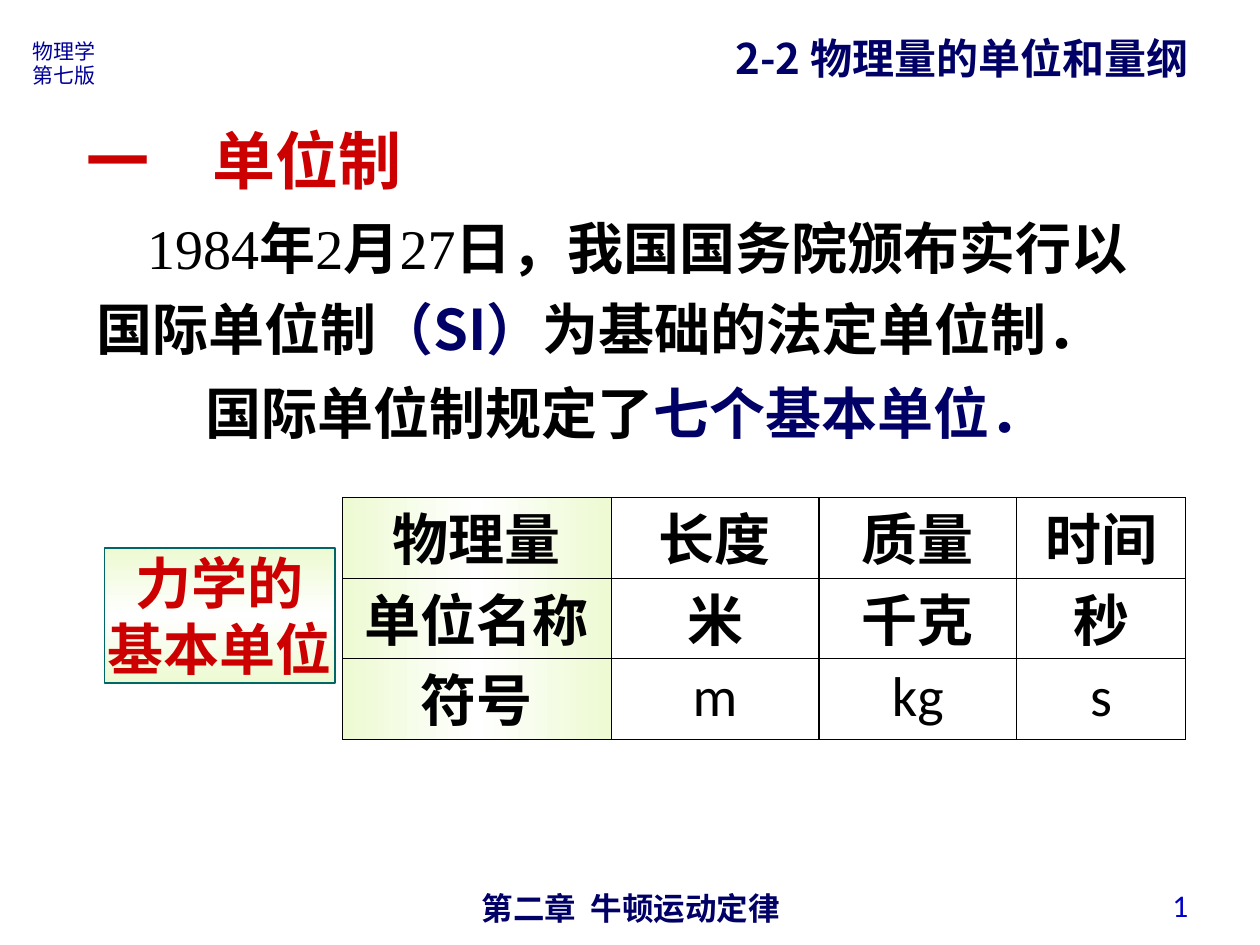
from lxml import etree
from pptx import Presentation
from pptx.dml.color import RGBColor
from pptx.enum import shapes, text
from pptx.oxml import ns
from pptx.util import Inches, Pt

COLORS = {"navy": "000066", "blue": "000099", "number": "0000CC", "red": "CC0000",
          "black": "000000", "teal": "006666", "lime": "EDFAD2", "white": "FFFFFF"}
CJK = "Noto Sans CJK SC"
ALIGN = text.PP_ALIGN


def write(tf, lines, size, color, name=CJK, bold=True, align=ALIGN.LEFT, spacing=1.2):
    """Fill a frame; each line is a list of (text, overriding format) runs."""
    for i, line in enumerate(lines):
        p = tf.paragraphs[0] if i == 0 else tf.add_paragraph()
        p.alignment, p.line_spacing = align, Pt(round(size * spacing))
        p.space_before = Pt(0)
        for words, changes in line:
            r = p.add_run()
            r.text = words
            fmt = {"size": Pt(size), "name": name, "bold": bold, "color": color, **changes}
            r.font.color.rgb = RGBColor.from_string(COLORS[fmt.pop("color")])
            for key, value in fmt.items():
                setattr(r.font, key, value)
            ea = etree.SubElement(r.font._element, ns.qn("a:ea"))
            ea.set("typeface", CJK)


def shade(fill, angle):
    """Lime to white to lime gradient."""
    fill.gradient()
    fill.gradient_angle = angle
    stops = fill._fill._gradFill.find(ns.qn("a:gsLst"))
    stops.clear()
    for pos, color in ((0, "lime"), (50, "white"), (100, "lime")):
        stop = etree.SubElement(stops, ns.qn("a:gs"), pos=str(pos * 1000))
        etree.SubElement(stop, ns.qn("a:srgbClr"), val=COLORS[color])


prs = Presentation()
prs.slide_width, prs.slide_height = Inches(10), Inches(7.5)
s = prs.slides.add_slide(prs.slide_layouts[5])

# Section title
title = s.shapes.title
title.left, title.top, title.width, title.height = map(Inches, (0.59, 0.92, 3.39, 0.7))
title.text_frame.vertical_anchor = text.MSO_ANCHOR.TOP
write(title.text_frame, [[("一　单位制", {})]], 36, "red")

# Header, footer and running text
digits = {"name": "Times New Roman", "bold": False}
intro = [("1984", digits), ("年", {}), ("2", digits), ("月", {}), ("27", digits),
         ("日，我国国务院颁布实行以国际单位制", {}), ("（SI）", {"color": "navy"}),
         ("为基础的法定单位制．", {})]
rule = [("国际单位制规定了", {}), ("七个基本单位．", {"color": "navy"})]
boxes = [
    ((3.42, 7, 3.17, 0.29), [[("第二章  牛顿运动定律", {})]],
     {"size": 18, "color": "navy", "name": "Arial", "align": ALIGN.CENTER}),
    ((5.74, 0.21, 4.08, 0.5), [[("2-2 物理量的单位和量纲", {})]],
     {"size": 24, "color": "navy"}),
    ((0.16, 0.26, 0.72, 0.5), [[("物理学", {})], [("第七版", {})]],
     {"size": 12, "color": "blue", "bold": False}),
    ((7.2, 6.98, 2.33, 0.4), [[("1", {})]],
     {"size": 18, "color": "number", "name": "Calibri", "bold": False, "align": ALIGN.RIGHT}),
    ((0.67, 1.54, 8.75, 1.38), [intro], {"size": 32, "color": "black", "spacing": 1.45}),
    ((1.53, 2.96, 7.09, 0.64), [rule], {"size": 32, "color": "black", "name": "Arial"}),
]
for place, lines, fmt in boxes:
    tf = s.shapes.add_textbox(*map(Inches, place)).text_frame
    tf.word_wrap = True
    write(tf, lines, **fmt)
    if lines[0] is intro:
        tf.paragraphs[0]._p.get_or_add_pPr().set("indent", str(Inches(0.4)))

# Label beside the table
label = s.shapes.add_shape(shapes.MSO_SHAPE.RECTANGLE, *map(Inches, (0.83, 4.35, 1.83, 1.07)))
label.shadow.inherit = False
shade(label.fill, 90)
label.line.color.rgb = RGBColor.from_string(COLORS["teal"])
label.line.width = Pt(1)
tf = label.text_frame
tf.word_wrap = False
for side in ("left", "right", "top", "bottom"):
    setattr(tf, "margin_" + side, 0)
write(tf, [[("力学的", {})], [("基本单位", {})]], 32, "red", align=ALIGN.CENTER)

# Table of base units
rows = [("物理量", "长度", "质量", "时间"),
        ("单位名称", "米", "千克", "秒"),
        ("符号", "m", "kg", "s")]
widths = (2.13, 1.65, 1.57, 1.34)
table = s.shapes.add_table(len(rows), len(widths), *map(Inches, (2.72, 3.95, 6.69, 1.92))).table
table.first_row = table.horz_banding = False
for column, width in zip(table.columns, widths):
    column.width = Inches(width)
for i, row in enumerate(rows):
    table.rows[i].height = Inches(0.64)
    for j, words in enumerate(row):
        cell = table.cell(i, j)
        latin = words.isascii()
        cell.margin_top, cell.margin_bottom = Inches(0.05 if latin else 0.1), 0
        write(cell.text_frame, [[(words, {})]], 32, "black", "Calibri", not latin, ALIGN.CENTER)
        props = cell._tc.get_or_add_tcPr()
        for side in ("lnL", "lnR", "lnT", "lnB"):
            ln = etree.SubElement(props, ns.qn("a:" + side), w=str(Pt(0.75)))
            solid = etree.SubElement(ln, ns.qn("a:solidFill"))
            etree.SubElement(solid, ns.qn("a:srgbClr"), val=COLORS["black"])
        if j == 0:
            shade(cell.fill, 0)
        else:
            cell.fill.background()

prs.save("out.pptx")
